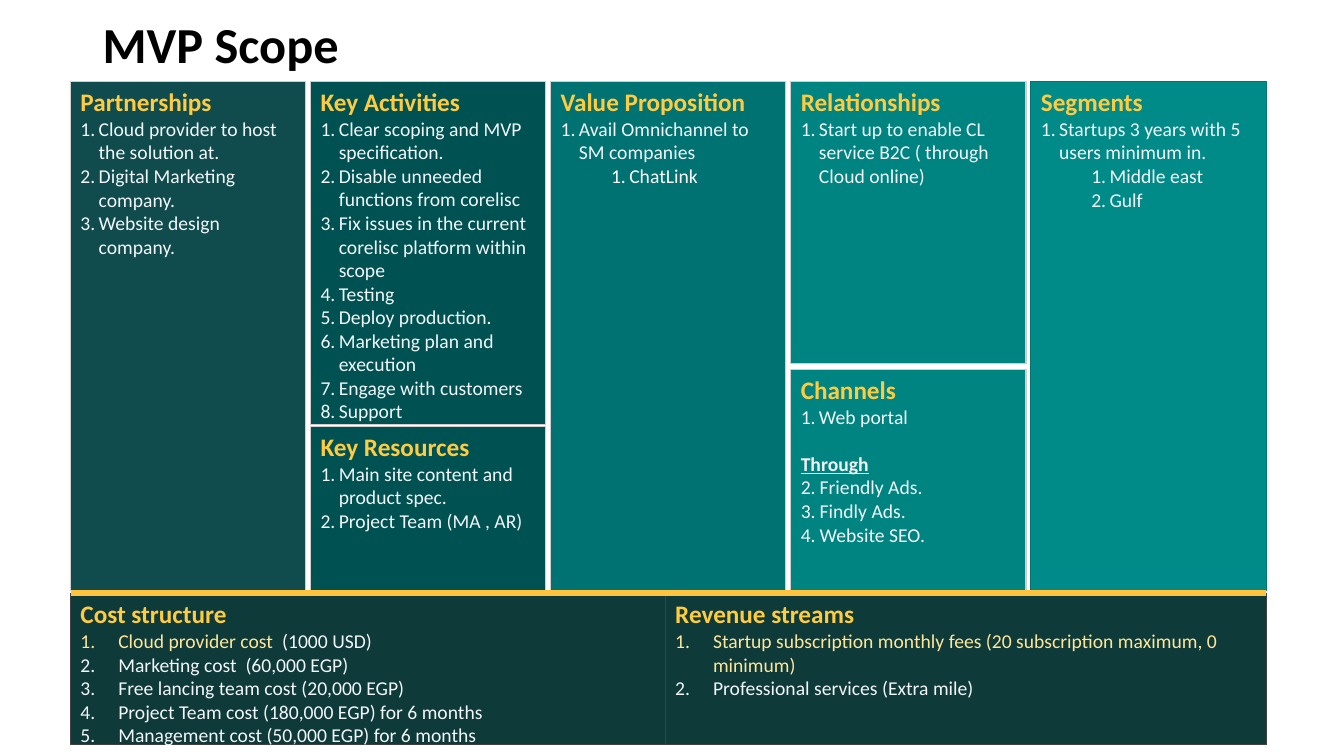
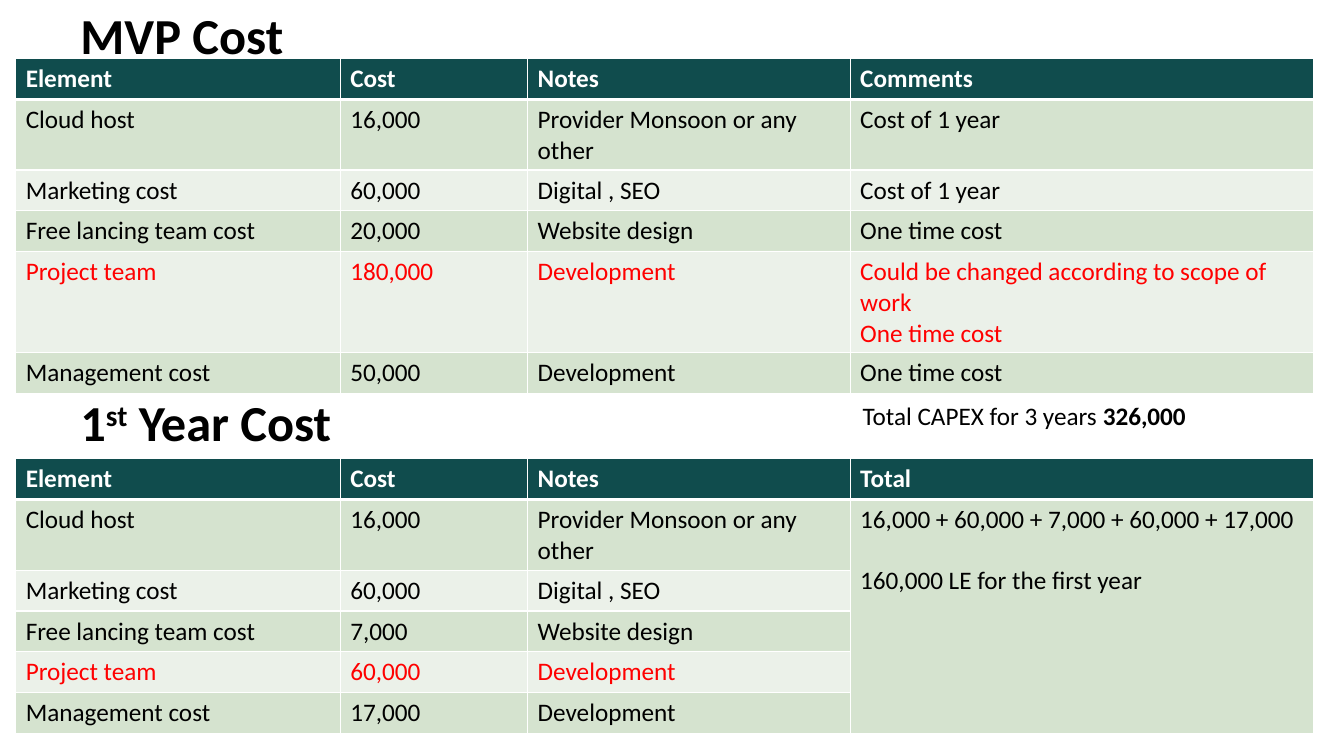
from pptx import Presentation
from pptx.dml.color import RGBColor
from pptx.enum.shapes import MSO_CONNECTOR, MSO_SHAPE
from pptx.enum.text import MSO_ANCHOR, PP_ALIGN
from pptx.util import Pt
from lxml.etree import SubElement
from pptx.oxml.ns import qn

WHITE = RGBColor(0xFF, 0xFF, 0xFF)
BLACK = RGBColor(0, 0, 0)
RED = RGBColor(0xFF, 0, 0)
PALE = RGBColor(0xF3, 0xF6, 0xF9)
SMOKE = RGBColor(0xF2, 0xF2, 0xF2)
GOLD = RGBColor(0xFF, 0xCB, 0x41)
AMBER = RGBColor(0xFF, 0xC3, 0x3D)
CREAM = RGBColor(0xFF, 0xE6, 0x99)
SILVER = RGBColor(0xD0, 0xCE, 0xCE)
TEAL = RGBColor(0x00, 0x76, 0x75)
GREY = RGBColor(0x40, 0x40, 0x40)
DARK = RGBColor(0x10, 0x4C, 0x4D)
DEEP = RGBColor(0x0F, 0x3A, 0x3A)
PINE = RGBColor(0x00, 0x52, 0x52)
SEA = RGBColor(0x00, 0x72, 0x71)
JADE = RGBColor(0x00, 0x84, 0x81)
AQUA = RGBColor(0x00, 0x8B, 0x89)
GREEN = RGBColor(0xD5, 0xE3, 0xCF)
MINT = RGBColor(0xEB, 0xF1, 0xE9)

TITLE = {"size": Pt(36), "bold": True}
HEAD = {"size": Pt(18), "bold": True}
BODY = {"size": Pt(14), "bold": False}
CELL = {"size": Pt(18), "bold": False}

LEFT, TOP, WIDE, TALL = 50.4, 58.3, 168, 363.6
STEP = 171.5
FOOT = 424.1
COLS = (231.8, 133.9, 230.4, 331.2)
ROW = 29.2


def put(thing, values):
    """Set attributes of an object from a dict."""
    for name, value in values.items():
        setattr(thing, name, value)


def num(*runs, ink=PALE, left=13, hang=13, start=1):
    """Describe a numbered line."""
    runs = [run if isinstance(run, tuple) else (run, BODY, ink) for run in runs]
    return {"runs": runs, "left": left, "hang": hang, "start": start}


def sub(text, ink=PALE):
    """Describe a numbered line of the second level."""
    return num(text, ink=ink, left=49)


def far(*runs, ink=PALE):
    """Describe a numbered line with a wide hanging indent."""
    return num(*runs, ink=ink, left=27, hang=27)


def plain(text, look, ink, **form):
    """Describe a line without a number."""
    return {"runs": [(text, look, ink)], "form": form}


def mark(para, line):
    """Number a paragraph and indent it."""
    props = para._p.get_or_add_pPr()
    props.set("marL", str(Pt(line["left"])))
    props.set("indent", str(-Pt(line["hang"])))
    if line["left"] > 40:
        para.level = 1
    SubElement(props, qn("a:buFont"), typeface="+mj-lt")
    count = SubElement(props, qn("a:buAutoNum"), type="arabicPeriod")
    if line["start"] > 1:
        count.set("startAt", str(line["start"]))


def write(frame, lines):
    """Fill a text frame with described lines."""
    frame.word_wrap = True
    for i, line in enumerate(lines):
        para = frame.add_paragraph() if i else frame.paragraphs[0]
        put(para, line.get("form", {}))
        if "left" in line:
            mark(para, line)
        for text, look, ink in line["runs"]:
            run = para.add_run()
            run.text = text
            put(run.font, {"name": "Calibri", **look})
            run.font.color.rgb = ink


def label(slide, x, y, w, h, runs, **form):
    """Add a text box with one line, centred in height."""
    frame = slide.shapes.add_textbox(Pt(x), Pt(y), Pt(w), Pt(h)).text_frame
    frame.vertical_anchor = MSO_ANCHOR.MIDDLE
    write(frame, [{"runs": runs, "form": form}])
    return frame.paragraphs[0]


def title(slide, x, y, h, *texts):
    """Add a slide heading."""
    runs = [(text, TITLE, BLACK) for text in texts]
    return label(slide, x, y, 828, h, runs, line_spacing=0.9)


def block(slide, x, y, w, h, fill, edge, head, lines):
    """Add a canvas block with a heading and its lines."""
    shape = slide.shapes.add_shape(MSO_SHAPE.RECTANGLE, Pt(x), Pt(y), Pt(w), Pt(h))
    shape.shadow.inherit = False
    shape.fill.solid()
    shape.fill.fore_color.rgb = fill
    shape.line.color.rgb = edge
    shape.line.width = Pt(0.75)
    shape.text_frame.vertical_anchor = MSO_ANCHOR.TOP
    write(shape.text_frame, [plain(head, HEAD, GOLD), *lines])
    for para in shape.text_frame.paragraphs:
        para.alignment = PP_ALIGN.LEFT


def rule(slide, x, y, end):
    """Add the level amber line."""
    line = slide.shapes.add_connector(MSO_CONNECTOR.STRAIGHT, Pt(x), Pt(y), Pt(end), Pt(y))
    line.line.color.rgb = AMBER
    line.line.width = Pt(4.75)
    SubElement(line._element.spPr, qn("a:effectLst"))


def border(cell, side, width):
    """Draw one white cell border."""
    line = SubElement(cell._tc.get_or_add_tcPr(), qn("a:ln" + side), w=str(Pt(width)))
    fill = SubElement(line, qn("a:solidFill"))
    SubElement(fill, qn("a:srgbClr"), val=str(WHITE))


def dress(cell, row):
    """Give a cell the borders and fill of its row."""
    for side in "LRTB":
        thick = (row, side) in ((0, "B"), (1, "T"))
        border(cell, side, 3 if thick else 1)
    cell.fill.solid()
    cell.fill.fore_color.rgb = (GREEN if row % 2 else MINT) if row else DARK


def grid(slide, y, rows):
    """Add a cost table; return it."""
    table = slide.shapes.add_table(
        len(rows), len(COLS), Pt(11.2), Pt(y), Pt(sum(COLS)), Pt(ROW * len(rows))).table
    put(table, {"first_row": False, "horz_banding": False})
    for col, width in zip(table.columns, COLS):
        col.width = Pt(width)
    for r, row in enumerate(rows):
        table.rows[r].height = Pt(ROW)
        look, ink = (CELL, BLACK) if r else (HEAD, WHITE)
        if row[0] == "Project team":
            ink = RED
        for c in range(len(COLS)):
            cell = table.cell(r, c)
            dress(cell, r)
            if c < len(row):
                write(cell.text_frame, [plain(t, look, ink) for t in row[c].split("\n")])
    return table


def costs(last, sums, notes):
    """Build table rows from the shared names and the given sums."""
    names = ("Cloud host", "Marketing cost", "Free lancing team cost",
             "Project team", "Management cost")
    uses = ("Provider Monsoon or any other", "Digital , SEO", "Website design",
            "Development", "Development")
    rows = [[*row] for row in zip(names, sums, uses)]
    for row, note in zip(rows, notes):
        row.append(note)
    return [["Element", "Cost", "Notes", last], *rows]


def scope(slide):
    """Build the canvas slide."""
    title(slide, 66.2, 9, 49.7, "MVP Scope")
    under = {**BODY, "bold": True, "underline": True}
    columns = [
        (0, TOP, TALL, DARK, SILVER, "Partnerships", [
            num("Cloud provider to host the solution at."),
            num("Digital Marketing company."),
            num("Website design company.")]),
        (1, TOP, 244.8, PINE, SILVER, "Key Activities", [
            num("Clear scoping and MVP specification."),
            num("Disable unneeded functions from corelisc"),
            num("Fix issues in the current corelisc platform within scope"),
            num("Testing"),
            num("Deploy production."),
            num("Marketing plan and execution"),
            num("Engage with customers"),
            num("Support")]),
        (1, 304.6, 118, PINE, SILVER, "Key Resources", [
            num("Main site content and product spec."),
            num("Project Team (MA , AR)")]),
        (2, TOP, TALL, SEA, SILVER, "Value Proposition", [
            num("Avail Omnichannel to SM companies"),
            sub("ChatLink", WHITE)]),
        (3, TOP, 201.6, JADE, SILVER, "Relationships", [
            num("Start up to enable CL service B2C ( through Cloud online)")]),
        (3, 263.8, 158.4, JADE, SILVER, "Channels", [
            num("Web portal"),
            plain("Through", under, SMOKE, space_before=Pt(17)),
            *[num(text, left=13.5, hang=13.5, start=2) for text in
              ("Friendly Ads.", "Findly Ads.", "Website SEO.")]]),
        (4, TOP, TALL, AQUA, TEAL, "Segments", [
            num("Startups 3 years with 5 users minimum in."),
            sub("Middle east"),
            sub("Gulf")]),
    ]
    for col, y, h, fill, edge, head, lines in columns:
        block(slide, LEFT + col * STEP, y, WIDE, h, fill, edge, head, lines)
    block(slide, LEFT, FOOT, 424.8, 108, DEEP, GREY, "Cost structure", [
        far(("Cloud provider cost ", BODY, CREAM), " (1000 USD)"),
        far("Marketing cost  (60,000 EGP)"),
        far("Free lancing team cost (20,000 EGP)"),
        far("Project Team cost (180,000 EGP) for 6 months"),
        far("Management cost (50,000 EGP) for 6 months")])
    block(slide, LEFT + 424.8, FOOT, 429.6, 108, DEEP, GREY, "Revenue streams", [
        far("Startup subscription monthly fees (20 subscription maximum, 0 minimum)",
            ink=CREAM),
        far("Professional services (Extra mile)")])
    rule(slide, LEFT, FOOT - 0.5, LEFT + 4 * STEP + WIDE)


def budget(slide):
    """Build the cost slide."""
    title(slide, 50.4, 0.8, 53.5, "MVP Cost")
    once = "One time cost"
    grid(slide, 41.8, costs(
        "Comments", ("16,000", "60,000", "20,000", "180,000", "50,000"),
        ("Cost of 1 year", "Cost of 1 year", once,
         "Could be changed according to scope of work\n" + once, once)))
    year = grid(slide, 327.6, costs(
        "Total", ("16,000", "60,000", "7,000", "60,000", "17,000"), ()))
    total = year.cell(1, 3)
    total.merge(year.cell(5, 3))
    write(total.text_frame, [
        plain("16,000 + 60,000 + 7,000 + 60,000 + 17,000", CELL, BLACK),
        plain("160,000 LE for the first year", CELL, BLACK, space_before=Pt(21.8))])
    first = title(slide, 50.4, 272.6, 62.6, "1", "st", " Year Cost")
    first.runs[1]._r.get_or_add_rPr().set("baseline", "30000")
    label(slide, 609.1, 282.2, 247.7, 28.8, [
        ("Total CAPEX for 3 years ", CELL, BLACK), ("326,000", HEAD, BLACK)])


def main():
    """Build and save the deck."""
    deck = Presentation()
    put(deck, {"slide_width": Pt(960), "slide_height": Pt(540)})
    for build in (scope, budget):
        build(deck.slides.add_slide(deck.slide_layouts[6]))
    deck.save("out.pptx")


main()
